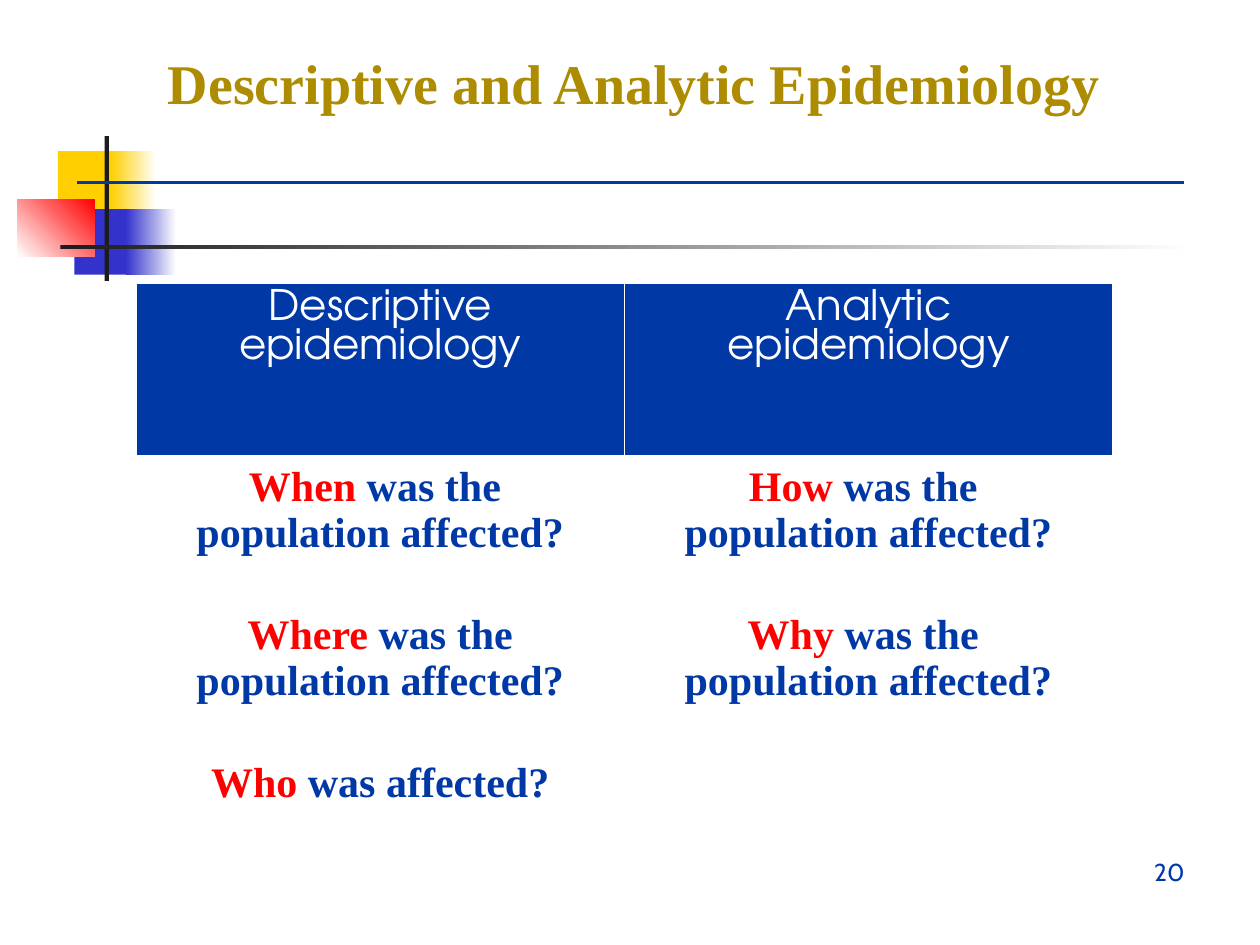
from lxml.etree import SubElement
from pptx import Presentation
from pptx.dml.color import RGBColor
from pptx.enum.shapes import MSO_CONNECTOR, MSO_SHAPE
from pptx.enum.text import MSO_ANCHOR, PP_ALIGN
from pptx.oxml import parse_xml
from pptx.oxml.ns import nsdecls, qn
from pptx.util import Emu, Inches, Pt

WHITE = RGBColor(0xFF, 0xFF, 0xFF)
BLUE = RGBColor(0x00, 0x39, 0xA6)
RED = RGBColor(0xFF, 0x00, 0x00)
GOLD = RGBColor(0xAD, 0x8C, 0x01)
YELLOW = RGBColor(0xFF, 0xCF, 0x01)
INDIGO = RGBColor(0x33, 0x33, 0xCC)
BLACK = RGBColor(0x1C, 0x1C, 0x1C)

TITLE = {"name": "Times New Roman", "size": Pt(32), "bold": True, "color": GOLD}
HEADER = {"name": "TeX Gyre Adventor", "size": Pt(24), "bold": False, "color": WHITE}
BODY = {"name": "Times New Roman", "size": Pt(24), "bold": True, "color": BLUE}
KEYWORD = {**BODY, "color": RED}
NUMBER = {"name": "Cabin", "size": Pt(14), "bold": False, "color": BLUE}

COLUMNS, ROWS = 100, 75


class SlideBuilder:
    """Places elements on a grid of 100 columns by 75 rows."""

    def __init__(self, prs):
        self.s = prs.slides.add_slide(prs.slide_layouts[5])
        self.column = prs.slide_width / COLUMNS
        self.row = prs.slide_height / ROWS

    def box(self, x, y, w, h):
        return (Emu(round(x * self.column)), Emu(round(y * self.row)),
                Emu(round(w * self.column)), Emu(round(h * self.row)))

    def fill_text(self, tf, paragraphs, align):
        """Each paragraph is a list of (text, style) runs."""
        for i, runs in enumerate(paragraphs):
            p = tf.paragraphs[0] if i == 0 else tf.add_paragraph()
            p.alignment = align
            for text, style in runs:
                r = p.add_run()
                r.text = text
                for key, value in style.items():
                    if key == "color":
                        r.font.color.rgb = value
                    else:
                        setattr(r.font, key, value)

    def title(self, text, box):
        sp = self.s.shapes.title
        sp.left, sp.top, sp.width, sp.height = self.box(*box)
        sp.text_frame.vertical_anchor = MSO_ANCHOR.BOTTOM
        self.fill_text(sp.text_frame, [[(text, TITLE)]], PP_ALIGN.CENTER)

    def text(self, text, style, box, align):
        tf = self.s.shapes.add_textbox(*self.box(*box)).text_frame
        tf.word_wrap = True
        self.fill_text(tf, [[(text, style)]], align)

    def block(self, box, start, end=None, angle=0):
        """A plain rectangle, or a gradient one when an end colour is given."""
        sp = self.s.shapes.add_shape(MSO_SHAPE.RECTANGLE, *self.box(*box))
        sp.shadow.inherit = False
        sp.line.fill.background()
        if end is None:
            sp.fill.solid()
            sp.fill.fore_color.rgb = start
            return
        sp.fill.gradient()
        sp.fill.gradient_angle = angle
        for stop, color, position in zip(sp.fill.gradient_stops, (start, end), (0, 1)):
            stop.color.rgb = color
            stop.position = position

    def line(self, x1, x2, y, color, width):
        left, top, right, _ = self.box(x1, y, x2, 0)
        line = self.s.shapes.add_connector(MSO_CONNECTOR.STRAIGHT, left, top, right, top)
        line.line.color.rgb = color
        line.line.width = Pt(width)
        SubElement(line._element.spPr, qn("a:effectLst"))

    def table(self, box, heights, cells):
        frame = self.s.shapes.add_table(len(cells), len(cells[0]), *self.box(*box))
        table = frame.table
        for row, height in zip(table.rows, heights):
            row.height = Emu(round(height * self.row))
        for i, contents in enumerate(cells):
            for j, paragraphs in enumerate(contents):
                cell = table.cell(i, j)
                if i == 0:
                    cell.fill.solid()
                    cell.fill.fore_color.rgb = BLUE
                else:
                    cell.fill.background()
                self.borders(cell, 3 if i == 0 else 1)
                self.fill_text(cell.text_frame, paragraphs, PP_ALIGN.CENTER)

    def borders(self, cell, bottom):
        sides = {"lnL": 1, "lnR": 1, "lnT": 1, "lnB": bottom}
        for i, (side, width) in enumerate(sides.items()):
            cell._tc.get_or_add_tcPr().insert(i, parse_xml(
                f'<a:{side} {nsdecls("a")} w="{Pt(width)}"><a:solidFill>'
                f'<a:srgbClr val="{WHITE}"/></a:solidFill></a:{side}>'))


def header(first, second):
    return [[(first, HEADER)], [(second, HEADER)]]


def question(keyword, *lines):
    first, *rest = lines
    return [[(keyword, KEYWORD), (first, BODY)]] + [[(line, BODY)] for line in rest]


prs = Presentation()
prs.slide_width, prs.slide_height = Inches(10), Inches(7.5)
slide = SlideBuilder(prs)

# Corner ornament
slide.block((4.6, 12, 4.8, 5.2), YELLOW)
slide.block((8.8, 12, 3.6, 5.2), YELLOW, WHITE)
slide.block((5.9, 16.6, 4.6, 5.2), INDIGO)
slide.block((10, 16.6, 4, 5.2), INDIGO, WHITE)
slide.block((1.4, 15.8, 6.1, 4.6), WHITE, RED, angle=45)
slide.block((8.3, 10.8, 0.35, 11.5), BLACK)
slide.block((4.8, 19.45, 90, 0.35), BLACK, WHITE)

# Title and rule
slide.title("Descriptive and Analytic Epidemiology", (6.1, 3.3, 88.5, 6.4))
slide.line(6.1, 94, 14.5, BLUE, 2)

# Comparison table
AFFECTED = (" was the ", "population affected?")
slide.table((10.8, 22.5, 77.5, 45), (13.8, 11.75, 11.75, 7.7), [
    [header("Descriptive", "epidemiology"), header("Analytic", "epidemiology")],
    [question("When", *AFFECTED), question("How", *AFFECTED)],
    [question("Where", "".join(AFFECTED)), question("Why", *AFFECTED)],
    [question("Who", " was affected?"), []],
])

# Slide number
slide.text("20", NUMBER, (71.7, 67.5, 23.3, 4), PP_ALIGN.RIGHT)

prs.save("out.pptx")
